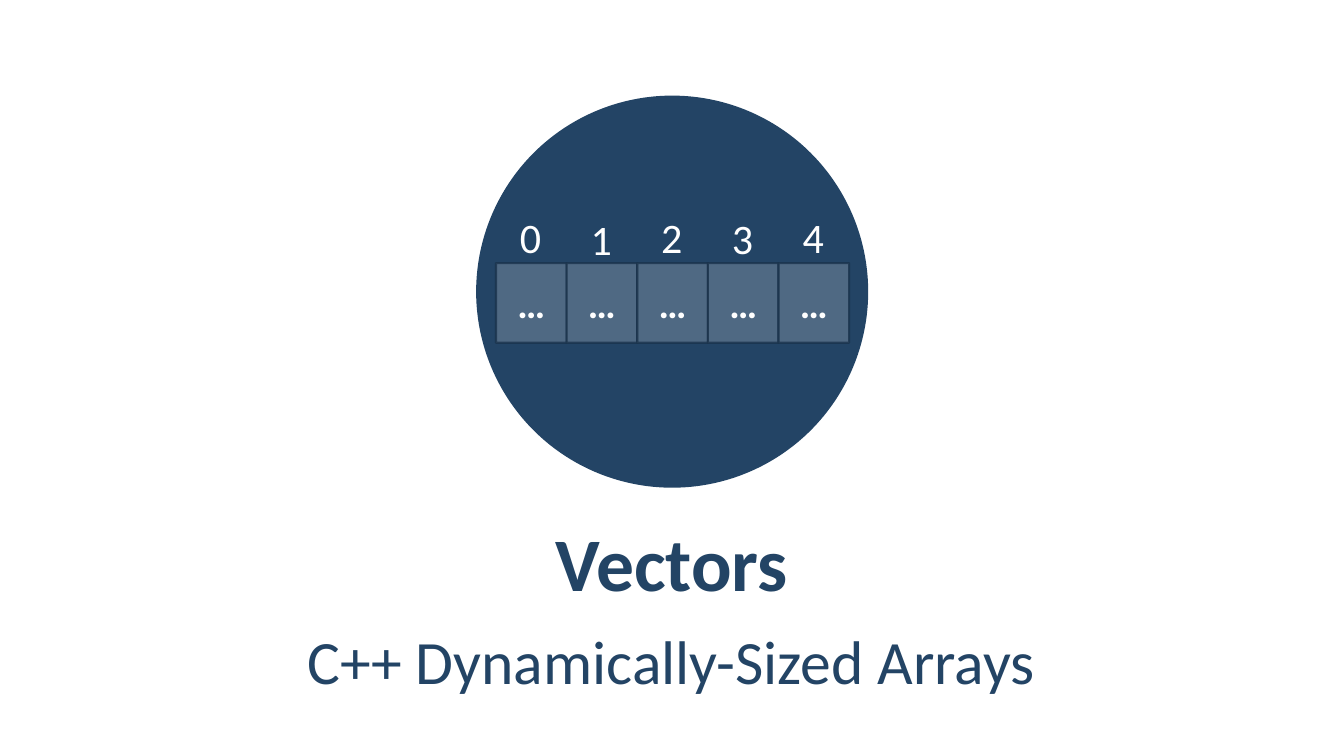
from dataclasses import dataclass

from lxml import etree
from pptx import Presentation
from pptx.dml.color import RGBColor
from pptx.enum.shapes import MSO_SHAPE
from pptx.enum.text import MSO_ANCHOR, PP_ALIGN
from pptx.oxml.ns import qn
from pptx.util import Cm, Pt

OVAL, RECTANGLE = MSO_SHAPE.OVAL, MSO_SHAPE.RECTANGLE
MIDDLE, TOP = MSO_ANCHOR.MIDDLE, MSO_ANCHOR.TOP
CENTER, LEFT = PP_ALIGN.CENTER, PP_ALIGN.LEFT
TITLE_ONLY = 5


@dataclass(frozen=True)
class Theme:
    font: str = "Calibri"
    navy: str = "234465"
    outline: str = "1A334C"
    white: str = "FFFFFF"
    title_size: int = 54
    subtitle_size: int = 44
    index_size: int = 30
    cell_size: int = 28


class SlideBuilder:
    def __init__(self, presentation, theme):
        self.theme = theme
        self.slide = presentation.slides.add_slide(presentation.slide_layouts[TITLE_ONLY])

    def set_text(self, shape, text, size, color, bold=False, align=CENTER,
                 anchor=MIDDLE, insets=(0.3, 0.1), wrap=True, spacing=1.0):
        frame = shape.text_frame
        frame.word_wrap = wrap
        frame.vertical_anchor = anchor
        frame.margin_left = frame.margin_right = Cm(insets[0])
        frame.margin_top = frame.margin_bottom = Cm(insets[1])
        paragraph = frame.paragraphs[0]
        paragraph.alignment = align
        paragraph.line_spacing = spacing
        run = paragraph.add_run()
        run.text = text
        run.font.name = self.theme.font
        run.font.size = Pt(size)
        run.font.bold = bold
        run.font.color.rgb = RGBColor.from_string(color)
        return paragraph

    def title(self, text, left, top, width, height):
        shape = self.slide.shapes.title
        shape.left, shape.top = Cm(left), Cm(top)
        shape.width, shape.height = Cm(width), Cm(height)
        self.set_text(shape, text, self.theme.title_size, self.theme.navy, bold=True)

    def text(self, text, left, top, width, height, size, color, **style):
        box = self.slide.shapes.add_textbox(Cm(left), Cm(top), Cm(width), Cm(height))
        return self.set_text(box, text, size, color, **style)

    def shape(self, kind, left, top, width, height, color):
        shape = self.slide.shapes.add_shape(kind, Cm(left), Cm(top), Cm(width), Cm(height))
        shape.shadow.inherit = False
        shape.fill.solid()
        shape.fill.fore_color.rgb = RGBColor.from_string(color)
        shape.line.fill.background()
        return shape

    def cell(self, text, left, top, width, height):
        shape = self.shape(RECTANGLE, left, top, width, height, self.theme.white)
        shape.line.color.rgb = RGBColor.from_string(self.theme.outline)
        shape.line.width = Pt(1.5)
        fill, outline = shape._element.spPr.iter(qn("a:srgbClr"))
        for color, percent in ((fill, 20), (outline, 80)):
            etree.SubElement(color, qn("a:alpha"), val=str(percent * 1000))
        self.set_text(shape, text, self.theme.cell_size, self.theme.white,
                      bold=True, insets=(0.25, 0.13))


def main():
    theme = Theme()
    presentation = Presentation()
    presentation.slide_width, presentation.slide_height = Cm(33.87), Cm(19.05)
    builder = SlideBuilder(presentation, theme)

    # Round backdrop
    builder.shape(OVAL, 12, 2.41, 9.88, 9.88, theme.navy)

    # Headings
    builder.title("Vectors", 1.7, 13.08, 30.45, 2.13)
    subtitle = builder.text("C++ Dynamically-Sized Arrays", 1.7, 15.52, 30.45, 2.13,
                            theme.subtitle_size, theme.navy, spacing=1.05)
    subtitle.space_after = Pt(6)

    # Array cells with their indices
    cell_left, cell_width, index_width = 12.5, 1.78, 1.37
    index_tops = (4.9, 4.95, 4.9, 4.93, 4.9)
    for index, index_top in enumerate(index_tops):
        left = cell_left + index * cell_width
        builder.cell("…", left, 6.63, cell_width, 2.01)
        builder.text(str(index), left + (cell_width - index_width) / 2, index_top,
                     index_width, 2.26, theme.index_size, theme.white, align=LEFT,
                     anchor=TOP, insets=(0.4, 0.3), wrap=False, spacing=1.1)

    presentation.save("out.pptx")


if __name__ == "__main__":
    main()
